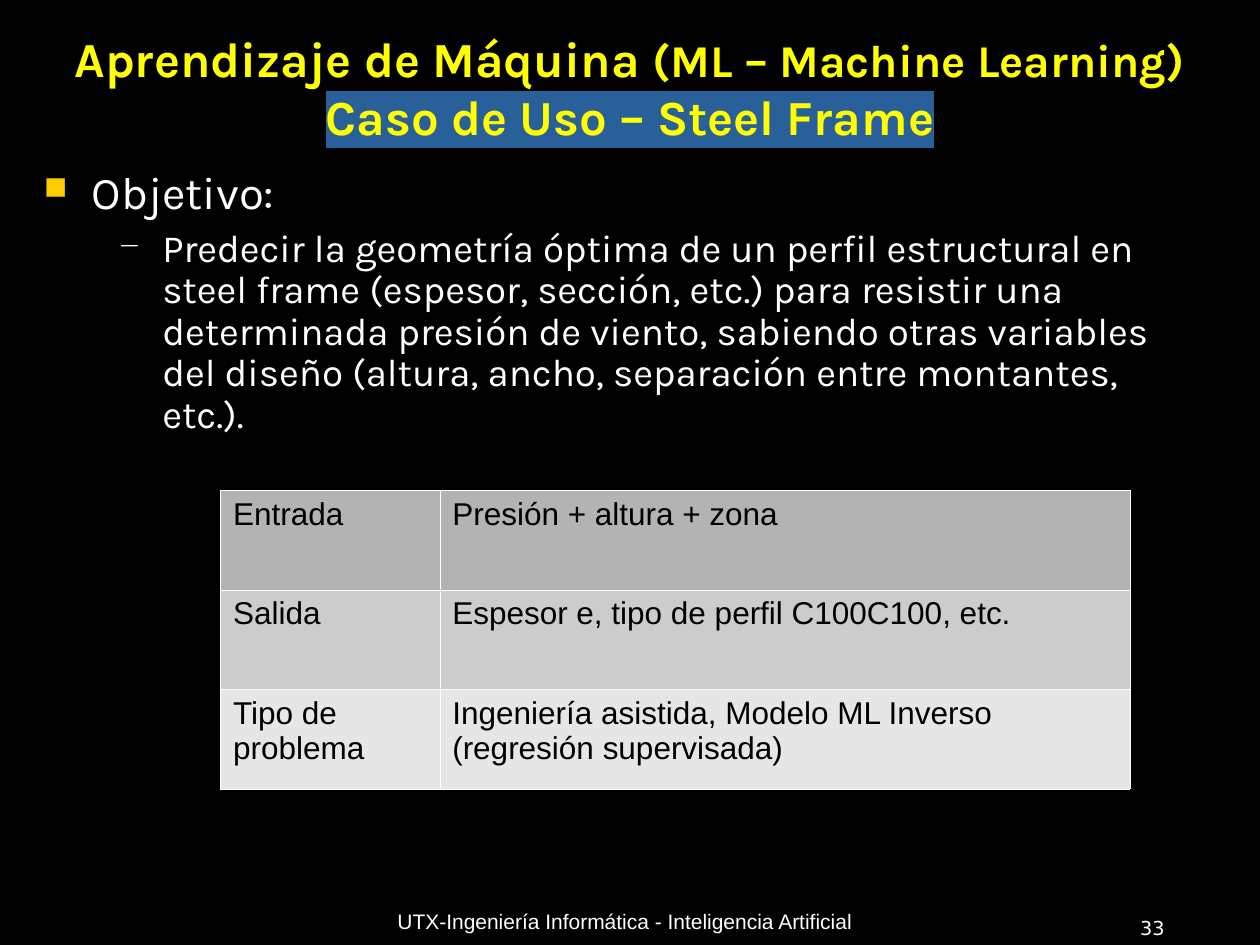
from dataclasses import dataclass
from typing import Optional

import pptx
import pptx.dml.color
import pptx.enum.text
import pptx.oxml
import pptx.oxml.ns
import pptx.util

Inches = pptx.util.Inches
Pt = pptx.util.Pt
RGBColor = pptx.dml.color.RGBColor
Align = pptx.enum.text.PP_ALIGN
Anchor = pptx.enum.text.MSO_ANCHOR
AutoSize = pptx.enum.text.MSO_AUTO_SIZE

BLACK = RGBColor(0x00, 0x00, 0x00)
WHITE = RGBColor(0xFF, 0xFF, 0xFF)
YELLOW = RGBColor(0xFF, 0xFF, 0x00)
GOLD = RGBColor(0xFF, 0xCC, 0x00)
BLUE = RGBColor(0x2A, 0x60, 0x99)
ROW_GREYS = [RGBColor(level, level, level) for level in (0xB3, 0xCC, 0xE6)]


@dataclass(frozen=True)
class Run:
    text: str
    size: float
    font: str
    color: RGBColor
    bold: bool = False
    highlight: Optional[RGBColor] = None


@dataclass(frozen=True)
class Bullet:
    character: str
    color: RGBColor
    percent: int
    margin: float
    indent: float


@dataclass(frozen=True)
class Paragraph:
    lines: list[list[Run]]
    format: dict
    level: int = 0
    bullet: Optional[Bullet] = None


@dataclass(frozen=True)
class TextBox:
    left: float
    top: float
    width: float
    height: float
    paragraphs: list[Paragraph]
    frame_format: dict


def set_values(target, values: dict) -> None:
    for name, value in values.items():
        setattr(target, name, value)


def make_element(xml: str):
    tag, rest = xml.split(" ", 1)
    return pptx.oxml.parse_xml(f"<{tag} {pptx.oxml.ns.nsdecls('a')} {rest}")


def add_run(paragraph, run: Run) -> None:
    text_run = paragraph.add_run()
    text_run.text = run.text
    set_values(text_run.font, {"size": Pt(run.size), "name": run.font, "bold": run.bold})
    text_run.font.color.rgb = run.color
    if run.highlight is not None:
        fill = text_run.font.color._xFill
        fill.addnext(make_element(f'a:highlight ><a:srgbClr val="{run.highlight}"/></a:highlight>'))


def add_bullet(paragraph, bullet: Bullet) -> None:
    properties = paragraph._p.get_or_add_pPr()
    properties.set("marL", str(Inches(bullet.margin)))
    properties.set("indent", str(Inches(bullet.indent)))
    for xml in (
        f'a:buClr ><a:srgbClr val="{bullet.color}"/></a:buClr>',
        f'a:buSzPct val="{bullet.percent * 1000}"/>',
        f'a:buChar char="{bullet.character}"/>',
    ):
        properties.append(make_element(xml))


def add_text_box(slide, box: TextBox) -> None:
    shape = slide.shapes.add_textbox(
        Inches(box.left), Inches(box.top), Inches(box.width), Inches(box.height)
    )
    frame = shape.text_frame
    set_values(frame, {"word_wrap": True, "auto_size": AutoSize.NONE, **box.frame_format})
    for index, content in enumerate(box.paragraphs):
        paragraph = frame.add_paragraph() if index else frame.paragraphs[0]
        set_values(paragraph, {"level": content.level, **content.format})
        if content.bullet is not None:
            add_bullet(paragraph, content.bullet)
        for line_index, line in enumerate(content.lines):
            if line_index:
                paragraph.add_line_break()
            for run in line:
                add_run(paragraph, run)


def add_cell_borders(cell, color: RGBColor, width: float) -> None:
    properties = cell._tc.get_or_add_tcPr()
    for side in ("lnL", "lnR", "lnT", "lnB"):
        properties.append(make_element(
            f'a:{side} w="{Pt(width)}"><a:solidFill><a:srgbClr val="{color}"/>'
            f"</a:solidFill></a:{side}>"
        ))


def add_case_table(slide, rows: list[tuple[str, str]]) -> None:
    column_widths = [1.74, 5.48]
    row_height = 0.79
    table = slide.shapes.add_table(
        len(rows), len(column_widths), Inches(1.75), Inches(3.89),
        Inches(sum(column_widths)), Inches(row_height * len(rows)),
    ).table
    set_values(table, {"first_row": False, "horz_banding": False})
    for column, width in zip(table.columns, column_widths):
        column.width = Inches(width)
    for row, texts, grey in zip(table.rows, rows, ROW_GREYS):
        row.height = Inches(row_height)
        for cell, text in zip(row.cells, texts):
            add_cell_borders(cell, WHITE, 0.06)
            cell.fill.solid()
            cell.fill.fore_color.rgb = grey
            add_run(cell.text_frame.paragraphs[0], Run(text, 18, "Arial", BLACK))


CENTERED = {"alignment": Align.CENTER}
BODY = {"line_spacing": 0.9, "space_before": Pt(5.6)}
NO_MARGINS = dict.fromkeys(("margin_left", "margin_top", "margin_right", "margin_bottom"), 0)

FOOTER = TextBox(2.42, 7.23, 5.08, 0.23, [
    Paragraph([[Run("UTX-Ingeniería Informática - Inteligencia Artificial", 12, "Arial", WHITE)]],
              CENTERED),
], {"vertical_anchor": Anchor.BOTTOM})

PAGE_NUMBER = TextBox(8.95, 7.22, 1.05, 0.28, [
    Paragraph([[Run("33", 11, "DejaVu Sans", WHITE)]], {}),
], {})

OBJECTIVE = TextBox(0.25, 1.3, 9, 5.45, [
    Paragraph([[Run("Objetivo:", 26, "Karla", WHITE)]], BODY,
              bullet=Bullet("■", GOLD, 70, 0.38, -0.38)),
    Paragraph([[Run(
        "Predecir la geometría óptima de un perfil estructural en steel frame "
        "(espesor, sección, etc.) para resistir una determinada presión de viento, "
        "sabiendo otras variables del diseño (altura, ancho, separación entre "
        "montantes, etc.).", 22, "Karla", WHITE)]], BODY, level=1,
        bullet=Bullet("−", WHITE, 75, 0.94, -0.35)),
], {})

TITLE = TextBox(0.5, 0.3, 9, 0.78, [
    Paragraph([
        [Run("Aprendizaje de Máquina ", 28, "Karla", YELLOW, True),
         Run("(ML – Machine Learning)", 26, "Karla", YELLOW, True)],
        [Run("Caso de Uso – Steel Frame", 28, "Karla", YELLOW, True, BLUE)],
    ], CENTERED),
], {"vertical_anchor": Anchor.MIDDLE, "auto_size": AutoSize.SHAPE_TO_FIT_TEXT, **NO_MARGINS})

CASE_ROWS = [
    ("Entrada", "Presión + altura + zona"),
    ("Salida", "Espesor e, tipo de perfil C100C100, etc."),
    ("Tipo de problema", "Ingeniería asistida, Modelo ML Inverso (regresión supervisada)"),
]


def main() -> None:
    presentation = pptx.Presentation()
    set_values(presentation, {"slide_width": Inches(10), "slide_height": Inches(7.5)})
    slide = presentation.slides.add_slide(presentation.slide_layouts[6])
    slide.background.fill.solid()
    slide.background.fill.fore_color.rgb = BLACK
    for box in (FOOTER, PAGE_NUMBER, OBJECTIVE, TITLE):
        add_text_box(slide, box)
    add_case_table(slide, CASE_ROWS)
    presentation.save("out.pptx")


if __name__ == "__main__":
    main()
